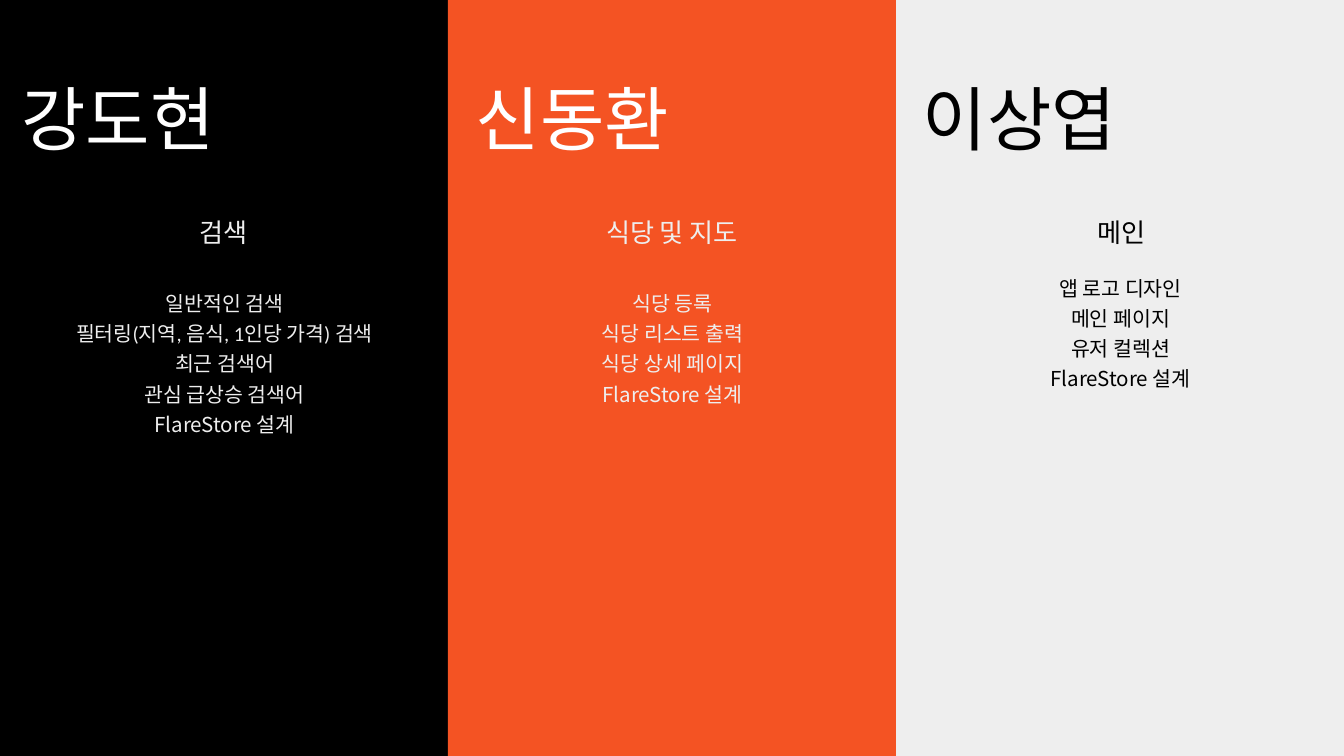
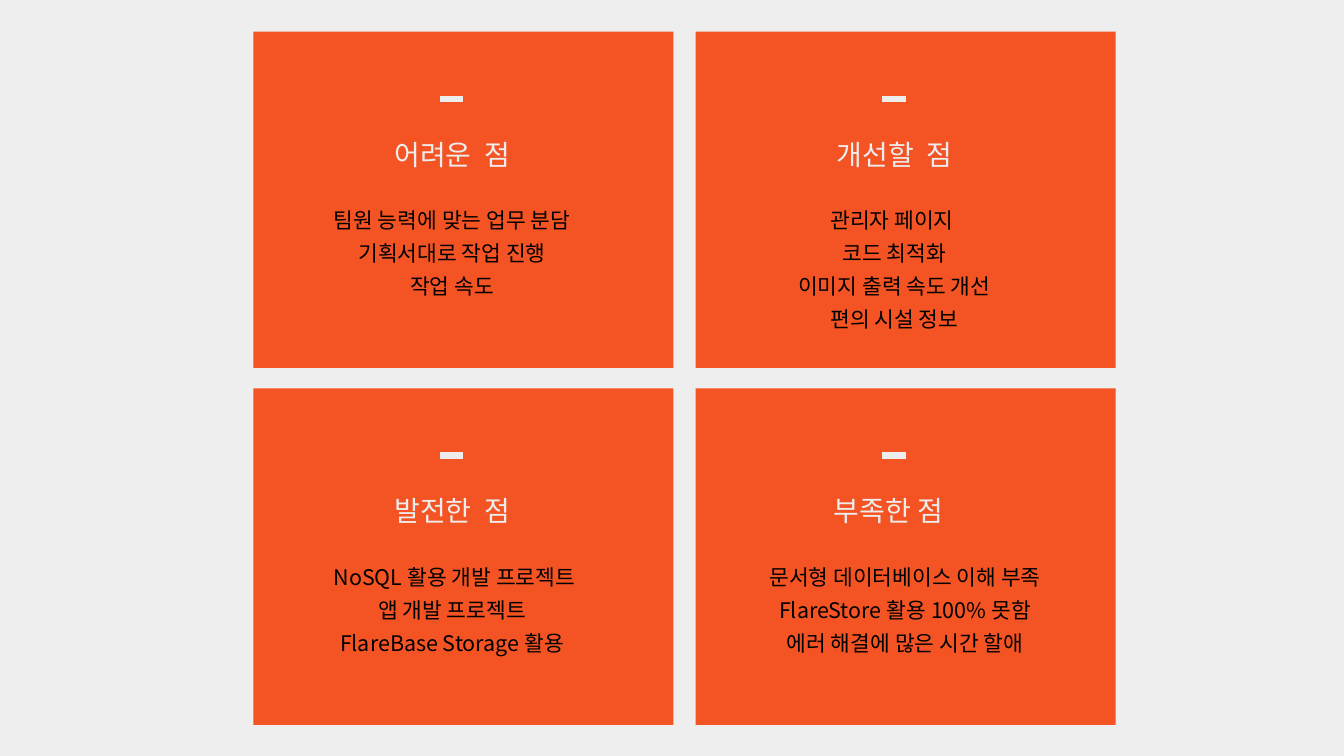
from dataclasses import dataclass

from lxml import etree
from pptx import Presentation
from pptx.dml.color import RGBColor
from pptx.enum.shapes import MSO_CONNECTOR, MSO_SHAPE
from pptx.enum.text import MSO_ANCHOR, MSO_AUTO_SIZE, PP_ALIGN
from pptx.oxml.ns import qn
from pptx.util import Pt

RECTANGLE = MSO_SHAPE.RECTANGLE
STRAIGHT = MSO_CONNECTOR.STRAIGHT
TOP = MSO_ANCHOR.TOP
GROW = MSO_AUTO_SIZE.SHAPE_TO_FIT_TEXT
LEFT, CENTER = PP_ALIGN.LEFT, PP_ALIGN.CENTER

BLACK = RGBColor(0x00, 0x00, 0x00)
WHITE = RGBColor(0xFF, 0xFF, 0xFF)
ORANGE = RGBColor(0xF4, 0x53, 0x23)
LIGHT = RGBColor(0xEE, 0xEE, 0xEE)
PALE = RGBColor(0xED, 0xED, 0xED)

LATIN_FONT = "Calibri"
KOREAN_FONT = "Noto Sans CJK KR"
COMPARISON_LAYOUT = 4

SLIDE_W, SLIDE_H = 1440, 810
COLUMN_W = SLIDE_W / 3
CARD_W, CARD_H = 450, 360.5
CARD_LEFT, CARD_TOP = 271.4, 33.8
CARD_STEP_X, CARD_STEP_Y = 474, 382.3


@dataclass
class Style:
    size: float
    leading: float
    width: float
    height: float
    align: PP_ALIGN = CENTER


@dataclass
class Member:
    name: str
    role: str
    tasks: list[str]
    fill: RGBColor
    name_color: RGBColor
    text_color: RGBColor
    name_inset: float
    role_inset: float = 83
    tasks_top: float = 306


@dataclass
class Card:
    heading: str
    points: list[str]
    heading_inset: float = 51
    points_inset: float = 51


NAME = Style(75, 94.5, 535, 94.5, LEFT)
ROLE = Style(28, 35.3, 314, 36.7)
TASKS = Style(22, 32.3, 375, 160)
HEADING = Style(30, 41.1, 324, 39)
POINTS = Style(23, 35.2, 324, 102)

# A "\v" is a line break inside a paragraph
MEMBERS = [
    Member("강도현", "검색",
           ["일반적인 검색\v필터링(지역, 음식, 1인당 가격) 검색\v최근 검색어\v관심 급상승 검색어",
            "FlareStore 설계"],
           BLACK, WHITE, LIGHT, 23),
    Member("신동환", "식당 및 지도",
           ["식당 등록\v식당 리스트 출력", "식당 상세 페이지", "FlareStore 설계"],
           ORANGE, WHITE, LIGHT, 29.8),
    Member("이상엽", "메인",
           ["앱 로고 디자인", "메인 페이지", "유저 컬렉션", "FlareStore 설계"],
           LIGHT, BLACK, BLACK, 28.6, 84.7, 289.4),
]

CARDS = [
    Card("어려운  점", ["팀원 능력에 맞는 업무 분담", "기획서대로 작업 진행", "작업 속도"]),
    Card("개선할  점", ["관리자 페이지 ", "코드 최적화", "이미지 출력 속도 개선", "편의 시설 정보"]),
    Card("발전한  점", [" NoSQL 활용 개발 프로젝트", "앱 개발 프로젝트",
                    "FlareBase Storage 활용"]),
    Card("부족한 점", ["문서형 데이터베이스 이해 부족", "FlareStore 활용 100% 못함",
                   "에러 해결에 많은 시간 할애"], 44.4, 62.4),
]


def add_slide(prs, background: RGBColor):
    slide = prs.slides.add_slide(prs.slide_layouts[COMPARISON_LAYOUT])
    slide.background.fill.solid()
    slide.background.fill.fore_color.rgb = background
    return slide


def add_panel(slide, left: float, top: float, width: float, height: float,
              color: RGBColor) -> None:
    sp = slide.shapes.add_shape(RECTANGLE, Pt(left), Pt(top), Pt(width), Pt(height))
    sp.shadow.inherit = False
    sp.fill.solid()
    sp.fill.fore_color.rgb = color
    sp.line.fill.background()


def add_dash(slide, left: float, y: float) -> None:
    line = slide.shapes.add_connector(STRAIGHT, Pt(left), Pt(y), Pt(left + 25.4), Pt(y))
    line.line.color.rgb = PALE
    line.line.width = Pt(6.75)
    etree.SubElement(line._element.spPr, qn("a:effectLst"))


def font_for(text: str) -> str:
    """Lines with Latin words use the Korean font throughout."""
    return KOREAN_FONT if any(c.isascii() and c.isalpha() for c in text) else LATIN_FONT


def add_text(slide, free: list[int], lines: list[str], left: float, top: float,
             style: Style, color: RGBColor) -> None:
    """Fill the next free placeholder, or a text box when none is left."""
    if free:
        idx = free.pop(0)
        sp = next(s for s in slide.placeholders if s.placeholder_format.idx == idx)
        slide.shapes._spTree.append(sp._element)  # bring in front of the panels
    else:
        sp = slide.shapes.add_textbox(0, 0, 0, 0)
    box = {"left": left, "top": top, "width": style.width, "height": style.height}
    for key, value in box.items():
        setattr(sp, key, Pt(value))

    tf = sp.text_frame
    frame = {"word_wrap": True, "auto_size": GROW, "vertical_anchor": TOP,
             "margin_left": 0, "margin_top": 0, "margin_right": 0, "margin_bottom": 0}
    for key, value in frame.items():
        setattr(tf, key, value)
    tf.text = "\n".join(lines)

    paragraph = {"alignment": style.align, "line_spacing": Pt(style.leading),
                 "space_before": Pt(0), "space_after": Pt(0)}
    for p in tf.paragraphs:
        pPr = p._p.get_or_add_pPr()
        pPr.set("marL", "0")
        pPr.set("indent", "0")
        etree.SubElement(pPr, qn("a:buNone"))
        for key, value in paragraph.items():
            setattr(p, key, value)
        font = {"size": Pt(style.size), "bold": False, "name": font_for(p.text)}
        for r in p.runs:
            for key, value in font.items():
                setattr(r.font, key, value)
            r.font.color.rgb = color
            etree.SubElement(r._r.get_or_add_rPr(), qn("a:ea"), typeface=KOREAN_FONT)


def build_members(prs) -> None:
    slide = add_slide(prs, WHITE)
    names, roles, tasks = [0], [1, 3], [2, 4]
    for i, m in enumerate(MEMBERS):
        left = i * COLUMN_W
        add_panel(slide, left, 0, COLUMN_W, SLIDE_H, m.fill)
    for i, m in enumerate(MEMBERS):
        left = i * COLUMN_W
        add_text(slide, names, [m.name], left + m.name_inset, 76.3, NAME, m.name_color)
        add_text(slide, roles, [m.role], left + m.role_inset, 229.7, ROLE, m.text_color)
        add_text(slide, tasks, m.tasks, left + 53, m.tasks_top, TASKS, m.text_color)


def build_review(prs) -> None:
    slide = add_slide(prs, LIGHT)
    headings, points = [0, 1, 3], [2, 4]
    for i, card in enumerate(CARDS):
        row, col = divmod(i, 2)
        left = CARD_LEFT + col * CARD_STEP_X
        top = CARD_TOP + row * CARD_STEP_Y
        add_panel(slide, left, top, CARD_W, CARD_H, ORANGE)
        add_dash(slide, left + 199.8, top + 72)
        add_text(slide, headings, [card.heading], left + card.heading_inset, top + 108,
                 HEADING, PALE)
        add_text(slide, points, card.points, left + card.points_inset, top + 180.8,
                 POINTS, BLACK)


def main() -> None:
    prs = Presentation()
    prs.slide_width, prs.slide_height = Pt(SLIDE_W), Pt(SLIDE_H)
    build_members(prs)
    build_review(prs)
    prs.save("out.pptx")


if __name__ == "__main__":
    main()
